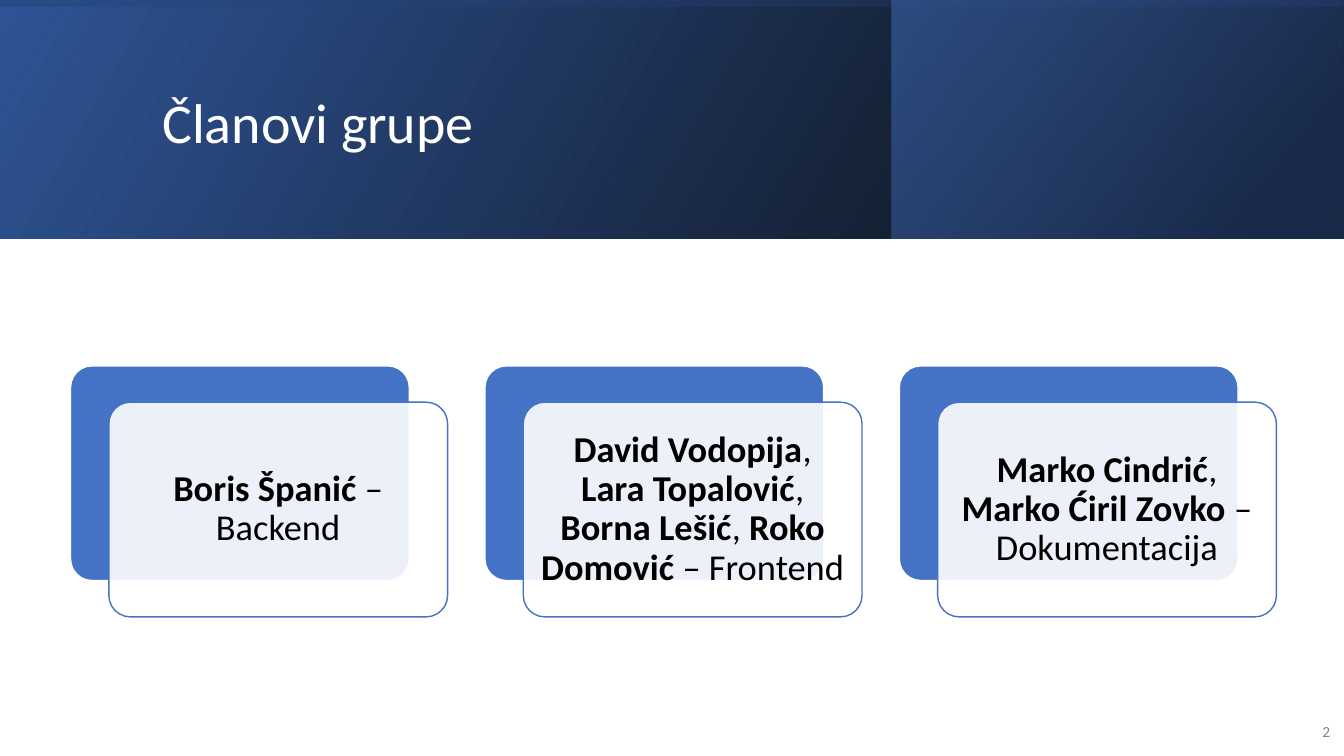
from dataclasses import dataclass

from lxml import etree
from pptx import Presentation
from pptx.dml.color import RGBColor
from pptx.enum import shapes, text
from pptx.oxml import ns
from pptx.util import Inches, Pt


@dataclass(frozen=True)
class Theme:
    font: str = "Calibri"
    title_size: int = 40
    card_size: int = 26
    number_size: int = 11
    white: str = "FFFFFF"
    black: str = "000000"
    grey: str = "808080"
    blue: str = "4472C4"
    deep_blue: str = "2F5597"
    navy: str = "203864"


THEME = Theme()
WIDTH, HEIGHT = 13.33, 7.5
BAND = 2.37

# Card grid: three equal columns, each a back card and a shifted front card
CARD_LEFT, CARD_TOP = 0.7, 3.63
CARD_WIDTH, CARD_HEIGHT = 3.36, 2.13
COLUMN_STEP, SHIFT_X, SHIFT_Y = 4.11, 0.38, 0.36

# Each group: its members and their task
GROUPS = [
    (["Boris Španić"], "Backend"),
    (["David Vodopija", "Lara Topalović", "Borna Lešić", "Roko Domović"], "Frontend"),
    (["Marko Cindrić", "Marko Ćiril Zovko"], "Dokumentacija"),
]


def inches(*lengths):
    return [Inches(length) for length in lengths]


def add_alpha(colour_element, opacity):
    alpha = etree.SubElement(colour_element, ns.qn("a:alpha"))
    alpha.set("val", str(opacity * 1000))


def add_span(para, words, size, colour, bold=False):
    span = para.add_run()
    span.text = words
    span.font.name = THEME.font
    span.font.size = Pt(size)
    span.font.bold = bold
    span.font.color.rgb = RGBColor.from_string(colour)


def add_gradient(page, place, angle, stops, rotation=0):
    """Add a mirrored rectangle; stops are (position, colour, opacity)."""
    shape = page.shapes.add_shape(shapes.MSO_SHAPE.RECTANGLE, *inches(*place))
    shape.shadow.inherit = False
    shape.line.fill.background()
    shape.rotation = rotation
    properties = shape._element.spPr
    properties.find(ns.qn("a:xfrm")).set("flipH", "1")

    gradient = etree.Element(ns.qn("a:gradFill"), rotWithShape="1")
    stop_list = etree.SubElement(gradient, ns.qn("a:gsLst"))
    for position, colour, opacity in stops:
        stop = etree.SubElement(stop_list, ns.qn("a:gs"), pos=str(position * 1000))
        add_alpha(etree.SubElement(stop, ns.qn("a:srgbClr"), val=colour), opacity)
    etree.SubElement(gradient, ns.qn("a:lin"), ang=str(angle * 60000), scaled="0")
    properties.find(ns.qn("a:prstGeom")).addnext(gradient)


def add_header(page):
    add_gradient(page, (0, 0, WIDTH, BAND), 330,
                 [(0, THEME.black, 96), (100, THEME.deep_blue, 100)])
    add_gradient(page, (8.84, 0, 4.48, BAND), 320,
                 [(19, THEME.navy, 68), (100, THEME.blue, 48)])
    # A tall strip turned on its side to cover the whole band
    offset = (WIDTH - BAND) / 2
    add_gradient(page, (offset, -offset, BAND, WIDTH), 350,
                 [(23, THEME.deep_blue, 16), (99, THEME.black, 45)], rotation=270)


def add_title(page, words):
    title = page.shapes.title
    title.left, title.top, title.width, title.height = inches(1.51, 0.38, 10.63, 1.72)
    frame = title.text_frame
    frame.auto_size = text.MSO_AUTO_SIZE.NONE
    frame.vertical_anchor = text.MSO_ANCHOR.MIDDLE
    para = frame.paragraphs[0]
    para.alignment = text.PP_ALIGN.LEFT
    para.line_spacing = 0.9
    add_span(para, words, THEME.title_size, THEME.white)
    # Bring the title in front of the header band
    page.shapes._spTree.append(title._element)


def add_page_number(page, number):
    box = page.shapes.add_textbox(*inches(12.8, 7.06, 0.49, 0.4))
    frame = box.text_frame
    frame.word_wrap = True
    frame.vertical_anchor = text.MSO_ANCHOR.MIDDLE
    para = frame.paragraphs[0]
    para.alignment = text.PP_ALIGN.RIGHT
    para.space_after = Pt(6)
    add_span(para, number, THEME.number_size, THEME.grey)


def add_card(group, left, top, fill, line):
    card = group.shapes.add_shape(shapes.MSO_SHAPE.ROUNDED_RECTANGLE,
                                  *inches(left, top, CARD_WIDTH, CARD_HEIGHT))
    card.adjustments[0] = 0.1
    card.shadow.inherit = False
    card.fill.solid()
    card.fill.fore_color.rgb = RGBColor.from_string(fill)
    card.line.color.rgb = RGBColor.from_string(line)
    card.line.width = Pt(1)
    return card


def add_member_card(group, column, members, task):
    left = CARD_LEFT + column * COLUMN_STEP
    add_card(group, left, CARD_TOP, THEME.blue, THEME.white)
    front = add_card(group, left + SHIFT_X, CARD_TOP + SHIFT_Y, THEME.white, THEME.blue)
    add_alpha(front._element.spPr.find(ns.qn("a:solidFill"))[0], 90)

    frame = front.text_frame
    frame.word_wrap = True
    frame.vertical_anchor = text.MSO_ANCHOR.MIDDLE
    frame.margin_left = frame.margin_right = Inches(0.11)
    frame.margin_top = frame.margin_bottom = Inches(0.11)
    para = frame.paragraphs[0]
    para.alignment = text.PP_ALIGN.CENTER
    para.line_spacing = 0.9
    for index, member in enumerate(members):
        if index:
            add_span(para, ", ", THEME.card_size, THEME.black)
        add_span(para, member, THEME.card_size, THEME.black, bold=True)
    add_span(para, f" – {task}", THEME.card_size, THEME.black)


def main():
    deck = Presentation()
    deck.slide_width, deck.slide_height = inches(WIDTH, HEIGHT)
    page = deck.slides.add_slide(deck.slide_layouts.get_by_name("Title Only"))

    # Header band, title and page number
    add_header(page)
    add_title(page, "Članovi grupe")
    add_page_number(page, "2")

    # Team cards
    group = page.shapes.add_group_shape()
    for column, (members, task) in enumerate(GROUPS):
        add_member_card(group, column, members, task)

    deck.save("out.pptx")


if __name__ == "__main__":
    main()
